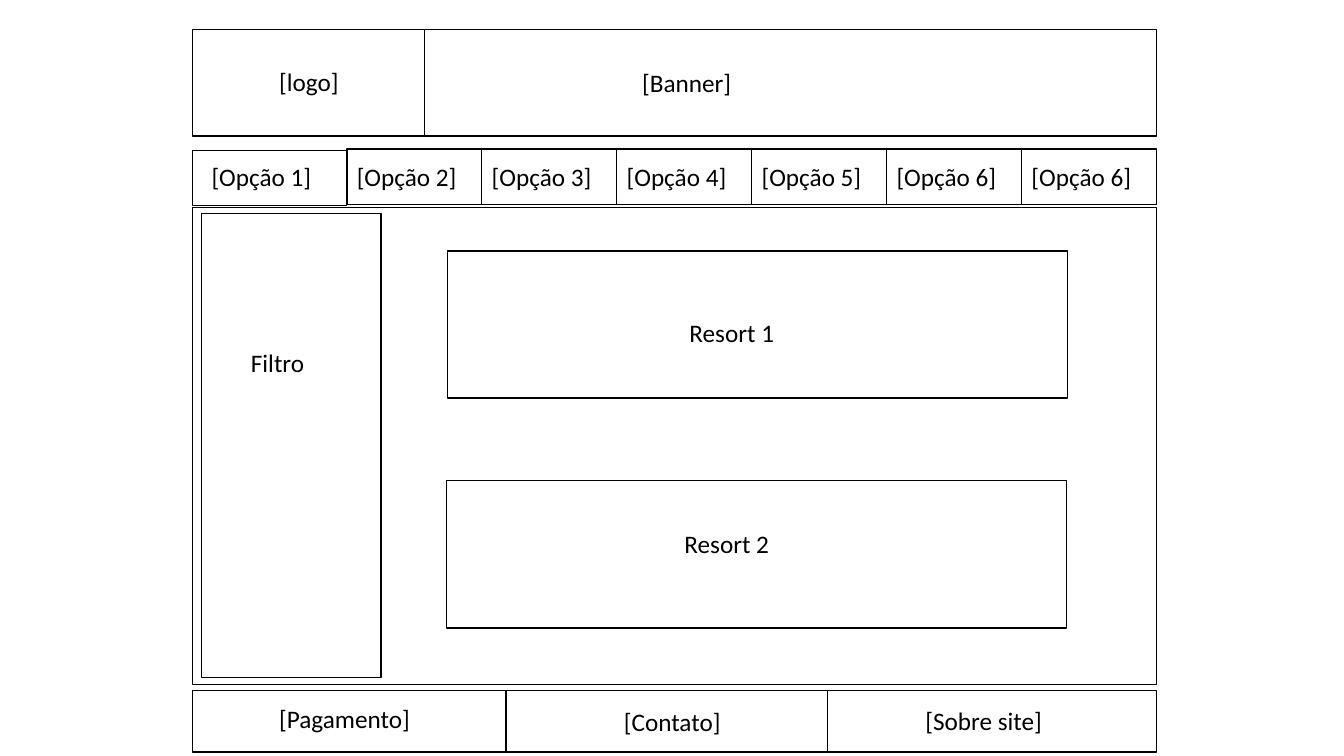
from dataclasses import dataclass
from itertools import accumulate

import pptx
import pptx.dml.color
import pptx.enum.shapes
import pptx.enum.text
import pptx.slide
import pptx.text.text
import pptx.util

Inches = pptx.util.Inches

PAGE_LEFT = 1.91
PAGE_RIGHT = 11.47
PAGE_WIDTH = PAGE_RIGHT - PAGE_LEFT
INK = "000000"
PAPER = "FFFFFF"
FONT_FORMAT = {"name": "Calibri", "size": pptx.util.Pt(18)}
FRAME_FORMAT = {
    "word_wrap": True,
    "vertical_anchor": pptx.enum.text.MSO_ANCHOR.TOP,
    "auto_size": pptx.enum.text.MSO_AUTO_SIZE.SHAPE_TO_FIT_TEXT,
}
OPTION_FORMAT = {
    "word_wrap": True,
    "vertical_anchor": pptx.enum.text.MSO_ANCHOR.MIDDLE,
}


@dataclass(frozen=True)
class Area:
    left: float
    top: float
    width: float
    height: float
    text: str = ""

    def bounds(self) -> list[pptx.util.Length]:
        return [Inches(n) for n in (self.left, self.top, self.width, self.height)]


def color(value: str) -> pptx.dml.color.RGBColor:
    return pptx.dml.color.RGBColor.from_string(value)


def write(frame: pptx.text.text.TextFrame, text: str, frame_format: dict) -> None:
    for attribute, value in frame_format.items():
        setattr(frame, attribute, value)
    paragraph = frame.paragraphs[0]
    paragraph.alignment = pptx.enum.text.PP_ALIGN.LEFT
    run = paragraph.add_run()
    run.text = text
    for attribute, value in FONT_FORMAT.items():
        setattr(run.font, attribute, value)
    run.font.color.rgb = color(INK)


def draw_box(slide: pptx.slide.Slide, area: Area) -> None:
    box = slide.shapes.add_shape(
        pptx.enum.shapes.MSO_SHAPE.RECTANGLE, *area.bounds()
    )
    box.shadow.inherit = False
    box.fill.solid()
    box.fill.fore_color.rgb = color(PAPER)
    box.line.color.rgb = color(INK)
    box.line.width = pptx.util.Pt(1)
    if area.text:
        write(box.text_frame, area.text, OPTION_FORMAT)


def draw_label(slide: pptx.slide.Slide, area: Area) -> None:
    label = slide.shapes.add_textbox(*area.bounds())
    write(label.text_frame, area.text, FRAME_FORMAT)


HEADER = [Area(PAGE_LEFT, 0.29, 2.53, 1.06), Area(4.21, 0.29, 7.26, 1.06)]

FIRST_OPTION = Area(PAGE_LEFT, 1.49, 1.53, 0.55)
OPTION_NAMES = ["[Opção 2]", "[Opção 3]", "[Opção 4]", "[Opção 5]", "[Opção 6]", "[Opção 6]"]
OPTIONS_LEFT = FIRST_OPTION.left + FIRST_OPTION.width
OPTION_WIDTH = (PAGE_RIGHT - OPTIONS_LEFT) / len(OPTION_NAMES)
OPTIONS = [
    Area(OPTIONS_LEFT + index * OPTION_WIDTH, 1.48, OPTION_WIDTH, 0.55, name)
    for index, name in enumerate(OPTION_NAMES)
]

CONTENT = Area(PAGE_LEFT, 2.06, PAGE_WIDTH, 4.73)
FILTER = Area(2, 2.12, 1.78, 4.6)
RESORTS = [Area(4.44, 2.49, 6.15, 1.46), Area(4.43, 4.77, 6.15, 1.46)]

FOOTER_WIDTHS = [3.11, 3.19, 3.26]
FOOTER = [
    Area(left, 6.85, width, 0.61)
    for left, width in zip(accumulate(FOOTER_WIDTHS, initial=PAGE_LEFT), FOOTER_WIDTHS)
]

LABELS = [
    Area(2.67, 0.61, 0.92, 0.4, "[logo]"),
    Area(6.27, 0.62, 1.18, 0.4, "[Banner]"),
    Area(2, 1.55, 1.33, 0.4, "[Opção 1]"),
    Area(2.39, 3.4, 1.29, 0.4, "Filtro"),
    Area(6.74, 3.1, 3.17, 0.4, "Resort 1"),
    Area(6.69, 5.19, 3.26, 0.4, "Resort 2"),
    Area(2.67, 6.93, 2.78, 0.42, "[Pagamento]"),
    Area(6.09, 6.96, 1.8, 0.4, "[Contato]"),
    Area(9.08, 6.95, 2.09, 0.4, "[Sobre site]"),
]


def main() -> None:
    presentation = pptx.Presentation()
    presentation.slide_width = Inches(13.33)
    presentation.slide_height = Inches(7.5)
    blank_layout = presentation.slide_layouts[6]
    wireframe = presentation.slides.add_slide(blank_layout)

    for area in [*HEADER, FIRST_OPTION, CONTENT, *OPTIONS, FILTER, *RESORTS, *FOOTER]:
        draw_box(wireframe, area)
    for area in LABELS:
        draw_label(wireframe, area)

    presentation.save("out.pptx")


if __name__ == "__main__":
    main()
